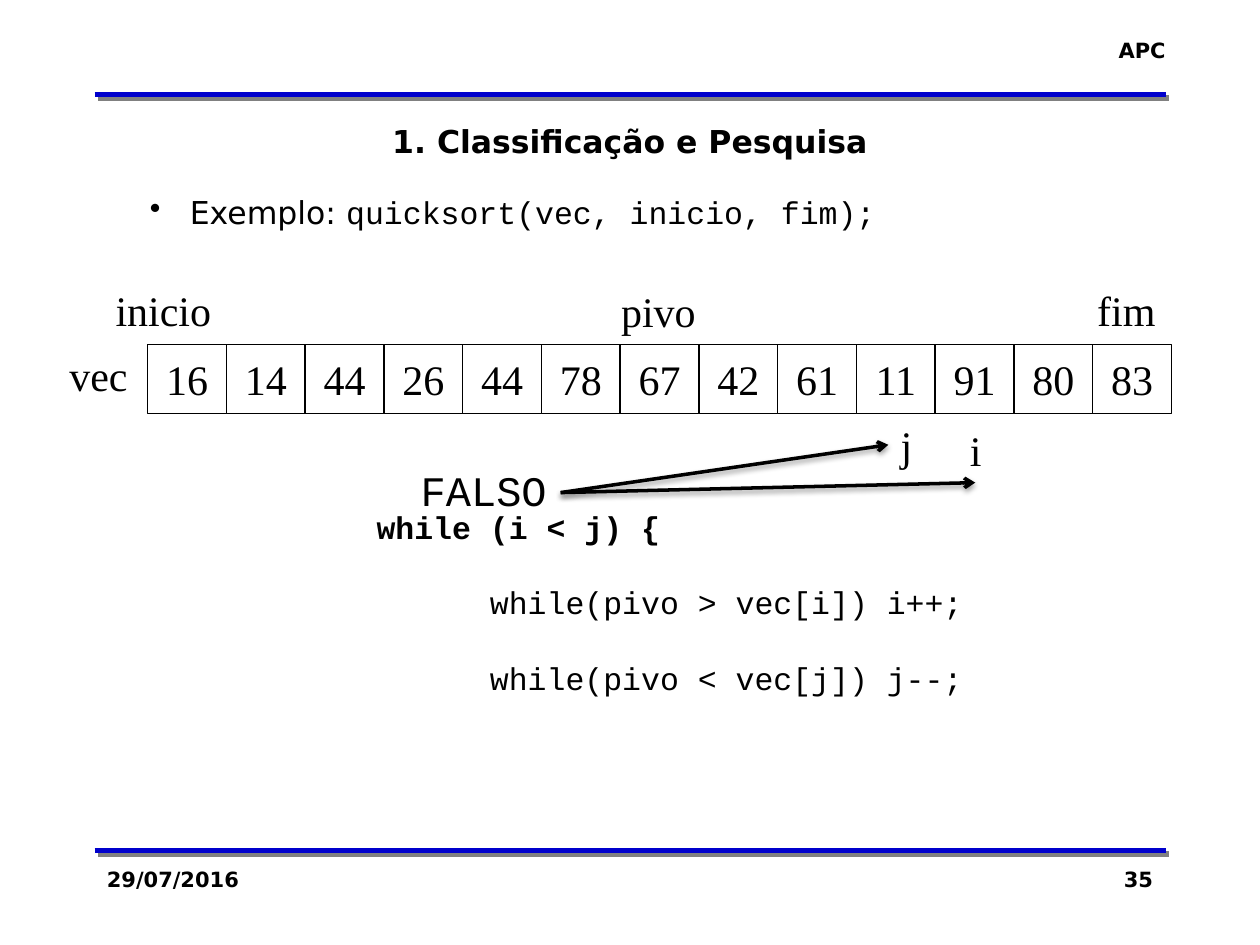
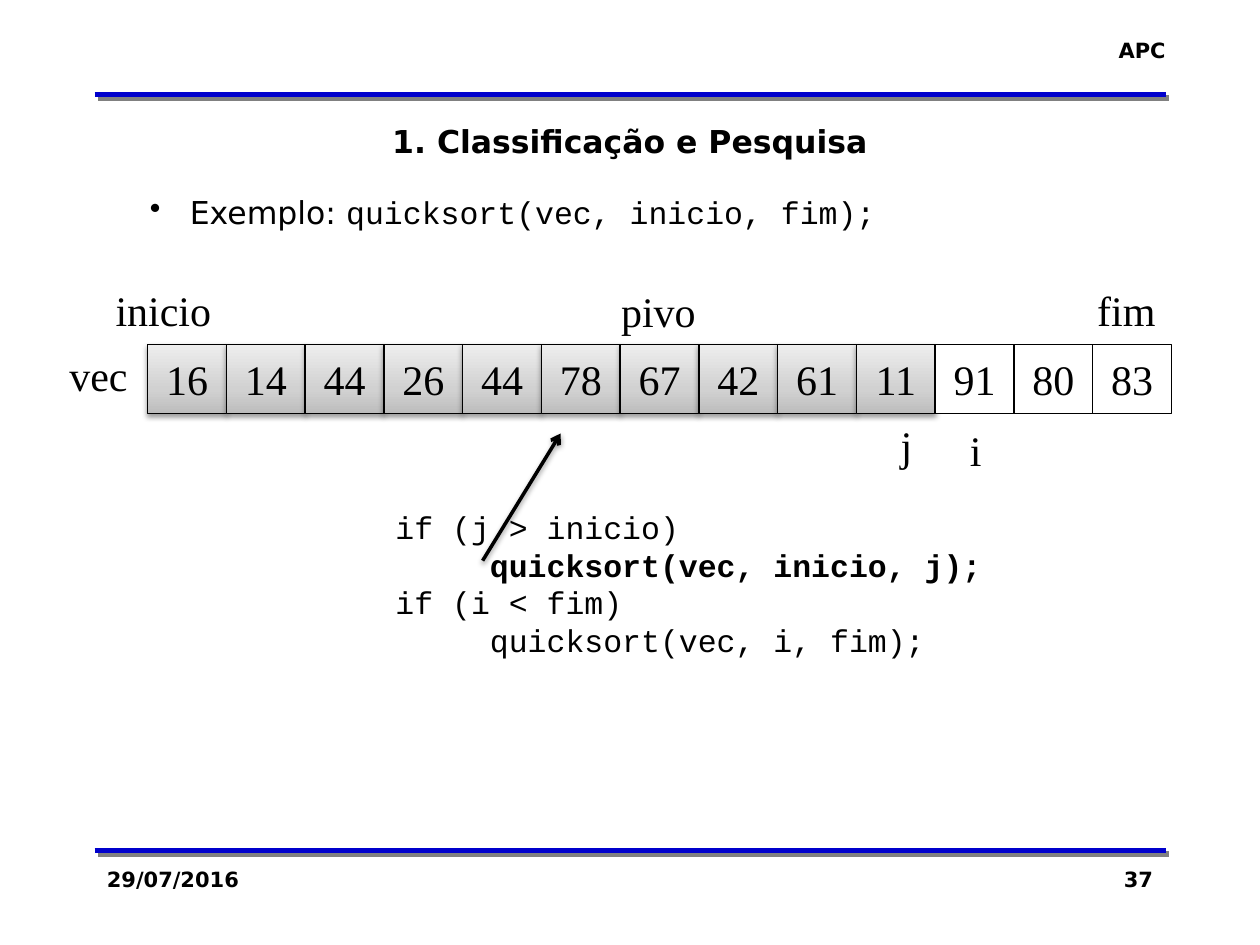
import dataclasses

import pptx
import pptx.dml.color
import pptx.enum.shapes
import pptx.enum.text
import pptx.oxml
import pptx.oxml.ns
import pptx.util

Pt = pptx.util.Pt
Align = pptx.enum.text.PP_ALIGN
Anchor = pptx.enum.text.MSO_ANCHOR
space = pptx.oxml.ns.nsdecls("a")


@dataclasses.dataclass(frozen=True)
class Theme:
    ink: str = "000000"
    rule: str = "0000CC"
    paper: str = "FFFFFF"
    sans: str = "DejaVu Sans"
    serif: str = "Times New Roman"
    mono: str = "Courier New"
    small: int = 12
    body: int = 18
    large: int = 24
    pitch: float = 21.6
    char: float = 10.8
    shade: tuple = ((0, "BDBDBD"), (35, "D1D1D1"), (100, "EEEEEE"))
    hard: tuple = ("808080", 100, 0, 2.8, 45)
    soft: tuple = ("000000", 38, 3.1, 1.6, 90)


theme = Theme()
color = pptx.dml.color.RGBColor.from_string


def write(shape, text, font, size, bold=False, align=Align.LEFT, wrap=False):
    frame = shape.text_frame
    frame.text = text
    frame.word_wrap = wrap
    for para in frame.paragraphs:
        para.alignment = align
        for run in para.runs:
            run.font.name = font
            run.font.size = Pt(size)
            run.font.bold = bold
            run.font.color.rgb = color(theme.ink)
    return frame


def cast(shape, tint, alpha, blur, dist, angle):
    shape._element.spPr.append(pptx.oxml.parse_xml(
        f'<a:effectLst {space}><a:outerShdw blurRad="{Pt(blur)}" dist="{Pt(dist)}" '
        f'dir="{angle * 60000}" algn="ctr" rotWithShape="0"><a:srgbClr val="{tint}">'
        f'<a:alpha val="{alpha * 1000}"/></a:srgbClr></a:outerShdw></a:effectLst>'))


values = (16, 14, 44, 26, 44, 78, 67, 42, 61, 11, 91, 80, 83)
cells = [(84.4 + 45 * i, 196.8, str(value)) for i, value in enumerate(values)]
labels = [
    ("inicio", 59, 159.1, 69.8),
    ("fim", 619.9, 159.1, 48.2),
    ("pivo", 347.8, 159.5, 57.6),
    ("j", 507.6, 236.2, 21.6),
    ("i", 547.2, 239, 21.6),
]
rules = [(54, y, 666, y) for y in (54, 486)]

pages = [
    dict(
        number="35", shaded=0, verdict="FALSO",
        code=[
            ("while (i < j) {", 0, 0, True),
            ("while(pivo > vec[i]) i++;", 6, 1, False),
            ("while(pivo < vec[j]) j--;", 6, 1, False),
        ],
        arrows=[(320.4, 281.5, 507.6, 254.2), (320.4, 281.5, 557.3, 275.8)],
    ),
    dict(
        number="37", shaded=10, verdict="",
        code=[
            ("if (j > inicio)", 1, 0, False),
            ("quicksort(vec, inicio, j);", 6, 0, True),
            ("if (i < fim)", 1, 0, False),
            ("quicksort(vec, i, fim);", 6, 0, False),
        ],
        arrows=[(275.8, 320.4, 320.4, 247.7)],
    ),
]

deck = pptx.Presentation()
deck.slide_width = Pt(720)
deck.slide_height = Pt(540)

for page in pages:
    slide = deck.slides.add_slide(deck.slide_layouts[6])
    shapes = slide.shapes

    texts = [
        ("APC", 631.4, 18, 41.8, 21.6, theme.small, Align.RIGHT),
        ("29/07/2016", 54, 491.8, 150, 36, theme.small, Align.LEFT),
        (page["number"], 516, 491.8, 150, 36, theme.small, Align.RIGHT),
        ("1. Classificação e Pesquisa", 54, 66.2, 612, 28.8, theme.body, Align.CENTER),
    ]
    for text, left, top, width, height, size, align in texts:
        box = shapes.add_textbox(Pt(left), Pt(top), Pt(width), Pt(height))
        write(box, text, theme.sans, size, True, align, True)

    box = shapes.add_textbox(Pt(78.5), Pt(106.6), Pt(545.8), Pt(28.8))
    para = write(box, "Exemplo: ", theme.sans, theme.body, wrap=True).paragraphs[0]
    call = para.add_run()
    call.text = "quicksort(vec, inicio, fim);"
    call.font.name = theme.mono
    call.font.size = Pt(theme.body)
    call.font.color.rgb = color(theme.ink)
    props = para._p.get_or_add_pPr()
    props.set("marL", str(Pt(22.9)))
    props.set("indent", str(Pt(-22.9)))
    props.append(pptx.oxml.parse_xml(f'<a:buChar {space} char="•"/>'))

    for i, (left, top, text) in enumerate(cells + [(33.8, 194.4, "vec")]):
        cell = shapes.add_shape(
            pptx.enum.shapes.MSO_SHAPE.RECTANGLE, Pt(left), Pt(top), Pt(45), Pt(39.6))
        cell.fill.solid()
        cell.fill.fore_color.rgb = color(theme.paper)
        if i < len(cells):
            cell.line.color.rgb = color(theme.ink)
            cell.line.width = Pt(0.75)
        else:
            cell.line.fill.background()
        frame = write(cell, text, theme.serif, theme.large, align=Align.CENTER)
        frame.vertical_anchor = Anchor.MIDDLE
        if i < page["shaded"]:
            stops = "".join(
                f'<a:gs pos="{spot * 1000}"><a:srgbClr val="{tint}"/></a:gs>'
                for spot, tint in theme.shade)
            form = cell._element.spPr
            form.replace(form.find(pptx.oxml.ns.qn("a:solidFill")), pptx.oxml.parse_xml(
                f'<a:gradFill {space} rotWithShape="1"><a:gsLst>{stops}</a:gsLst>'
                f'<a:lin ang="{270 * 60000}" scaled="0"/></a:gradFill>'))
            cast(cell, *theme.soft)
        else:
            cell.shadow.inherit = False

    for text, left, top, width in labels:
        box = shapes.add_textbox(Pt(left), Pt(top), Pt(width), Pt(36.5))
        write(box, text, theme.serif, theme.large)

    code = page["code"]
    box = shapes.add_textbox(Pt(208.1), Pt(286.6), Pt(360), Pt(116.6))
    frame = write(box, "\n".join(line[0] for line in code), theme.mono, theme.body, wrap=True)
    for para, (text, inset, gap, bold) in zip(frame.paragraphs, code):
        para.line_spacing = Pt(theme.pitch)
        para.space_before = Pt(gap * theme.pitch)
        para.runs[0].font.bold = bold
        props = para._p.get_or_add_pPr()
        props.set("marL", str(Pt(inset * theme.char)))
        props.set("indent", "0")

    if page["verdict"]:
        box = shapes.add_textbox(Pt(233.3), Pt(262.1), Pt(87.1), Pt(36.7))
        write(box, page["verdict"], theme.mono, theme.large)

    lines = [(ends, theme.rule, 3, theme.hard) for ends in rules]
    lines += [(ends, theme.ink, 2, theme.soft) for ends in page["arrows"]]
    for ends, tint, width, shadow in lines:
        line = shapes.add_connector(
            pptx.enum.shapes.MSO_CONNECTOR.STRAIGHT, *[Pt(end) for end in ends])
        line.line.color.rgb = color(tint)
        line.line.width = Pt(width)
        if ends in page["arrows"]:
            line.line._get_or_add_ln().append(
                pptx.oxml.parse_xml(f'<a:tailEnd {space} type="arrow"/>'))
        cast(line, *shadow)

deck.save("out.pptx")
